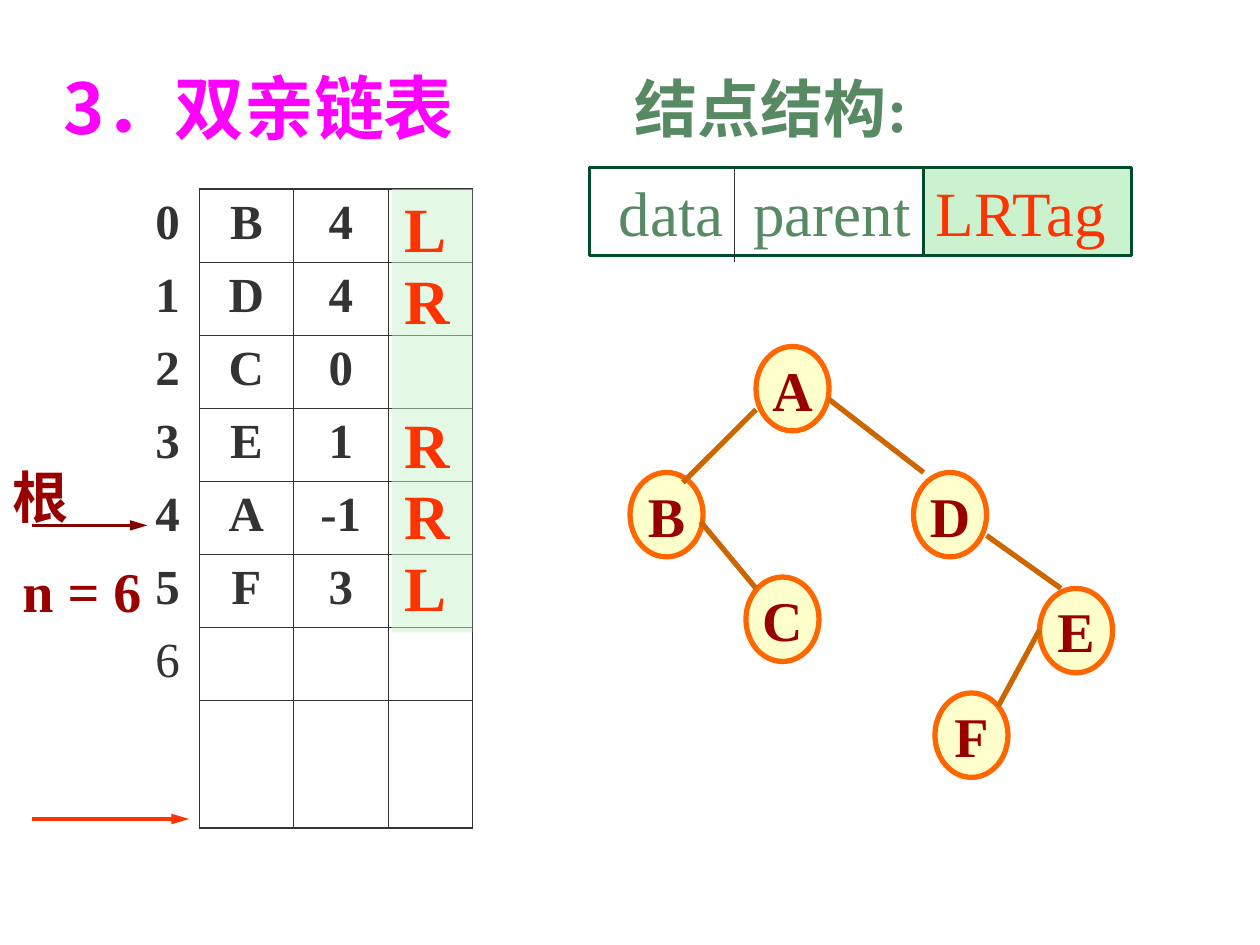
from lxml import etree
from pptx import Presentation
from pptx.dml.color import RGBColor
from pptx.enum import shapes, text
from pptx.oxml import ns
from pptx.util import Inches, Pt

SERIF, CJK = "Times New Roman", "Noto Sans CJK SC"
COLORS = {
    "title": "FF00FF", "green": "578963", "frame": "004C2B", "mint": "CAF2CE",
    "red": "FF3300", "maroon": "990000", "arrow": "800000", "ink": "333333",
    "node": "FFFFCC", "ring": "FF6600", "edge": "CC6600",
}
ROWS = [("0", "B", "4"), ("1", "D", "4"), ("2", "C", "0"), ("3", "E", "1"),
        ("4", "A", "-1"), ("5", "F", "3"), ("6", "", ""), ("", "", "")]
NODES = {"A": (6, 2.75), "B": (5, 3.75), "D": (7.25, 3.75),
         "C": (5.92, 4.58), "E": (8.25, 4.67), "F": (7.42, 5.5)}
EDGES = [(6, 3.25, 5.42, 3.83), (6.58, 3.17, 7.33, 3.75), (5.56, 4.14, 6, 4.67),
         (7.83, 4.25, 8.42, 4.67), (8.25, 5, 7.92, 5.61)]


def rgb(name):
    """Look up a palette colour."""
    return RGBColor.from_string(COLORS[name])


def add_run(p, content, size, color, bold=True, font=SERIF):
    """Append a formatted run with an East Asian font."""
    r = p.add_run()
    r.text = content
    r.font.size, r.font.bold, r.font.name = Pt(size), bold, font
    r.font.color.rgb = rgb(color)
    ea = etree.SubElement(r.font._element, ns.qn("a:ea"))
    ea.set("typeface", CJK)


def add_label(s, box, content, size, color, wrap=True):
    """Add a one-line text box."""
    tf = s.shapes.add_textbox(*map(Inches, box)).text_frame
    tf.word_wrap = wrap
    add_run(tf.paragraphs[0], content, size, color)


def add_box(s, kind, box, fill=None, line=None, weight=2):
    """Add a flat shape with top-left text and return it."""
    sp = s.shapes.add_shape(kind, *map(Inches, box))
    sp.shadow.inherit = False
    if fill:
        sp.fill.solid()
        sp.fill.fore_color.rgb = rgb(fill)
    else:
        sp.fill.background()
    if line:
        sp.line.color.rgb = rgb(line)
        sp.line.width = Pt(weight)
    else:
        sp.line.fill.background()
    tf = sp.text_frame
    tf.word_wrap = True
    tf.vertical_anchor = text.MSO_ANCHOR.TOP
    tf.paragraphs[0].alignment = text.PP_ALIGN.LEFT
    return sp


def add_line(s, ends, color, weight, arrow=False):
    """Add a straight line, optionally with an arrowhead at its end."""
    c = s.shapes.add_connector(shapes.MSO_CONNECTOR.STRAIGHT, *map(Inches, ends))
    c.line.color.rgb = rgb(color)
    c.line.width = Pt(weight)
    if arrow:
        etree.SubElement(c.line._get_or_add_ln(), ns.qn("a:tailEnd"),
                         type="triangle", len="lg")
    etree.SubElement(c._element.spPr, ns.qn("a:effectLst"))


def add_node(s, name, left, top):
    """Add a tree node."""
    sp = add_box(s, shapes.MSO_SHAPE.OVAL, (left, top, 0.58, 0.67), "node", "ring", 3)
    tf = sp.text_frame
    tf.word_wrap = False
    tf.vertical_anchor = text.MSO_ANCHOR.MIDDLE
    tf.paragraphs[0].alignment = text.PP_ALIGN.CENTER
    add_run(tf.paragraphs[0], name, 32, "maroon")


def set_borders(cell, widths):
    """Draw the cell sides given as a dict of side letter to points."""
    tc_pr = cell._tc.get_or_add_tcPr()
    for side, width in widths.items():
        ln = etree.SubElement(tc_pr, ns.qn(f"a:ln{side}"), w=str(Pt(width)))
        fill = etree.SubElement(ln, ns.qn("a:solidFill"))
        etree.SubElement(fill, ns.qn("a:srgbClr"), val=COLORS["ink"])


def add_parent_table(s):
    """Add the indexed table of data and parent values."""
    thin, thick = 0.45, 1.08
    widths, last = (0.5, 0.75, 0.75, 0.67), len(ROWS) - 1
    frame = s.shapes.add_table(len(ROWS), len(widths), Inches(1.08), Inches(1.5),
                               Inches(sum(widths)), Inches(5.08))
    table = frame.table
    table.first_row = table.horz_banding = False
    for col, width in zip(table.columns, widths):
        col.width = Inches(width)
    for i, values in enumerate(ROWS):
        table.rows[i].height = Inches(1.01 if i == last else 0.58)
        for j, value in enumerate(values + ("",)):
            cell = table.cell(i, j)
            if j == 0:
                set_borders(cell, {"R": thin})
            else:
                set_borders(cell, {"L": thin, "R": thick if j == 3 else thin,
                                   "T": thick if i == 0 else thin,
                                   "B": thick if i == last else thin})
            cell.fill.background()
            if value:
                p = cell.text_frame.paragraphs[0]
                p.alignment = text.PP_ALIGN.CENTER
                add_run(p, value, 28, "ink", bold=value != "6")


def add_record(s):
    """Add the node record with its three fields."""
    rect = shapes.MSO_SHAPE.RECTANGLE
    tf = add_box(s, rect, (4.68, 1.33, 2.65, 0.7), line="frame").text_frame
    tf.margin_left, tf.margin_right = Inches(0.23), Inches(0.05)
    p = tf.paragraphs[0]
    tabs = etree.SubElement(p._p.get_or_add_pPr(), ns.qn("a:tabLst"))
    etree.SubElement(tabs, ns.qn("a:tab"), pos=str(Inches(1.07)), algn="l")
    add_run(p, "data\tparent", 36, "green", bold=False)
    add_line(s, (5.83, 1.33, 5.83, 2.08), "ink", 1)
    tag = add_box(s, rect, (7.33, 1.33, 1.65, 0.7), "mint", "frame")
    add_run(tag.text_frame.paragraphs[0], "LRTag", 36, "red", bold=False)


def add_tag_column(s):
    """Add the translucent column of child tags, leaving row 2 open."""
    sp = add_box(s, shapes.MSO_SHAPE.RECTANGLE, (3.11, 1.5, 0.64, 3.52), "mint")
    color = sp.fill._xPr.find(f".//{ns.qn('a:srgbClr')}")
    etree.SubElement(color, ns.qn("a:alpha"), val="50000")
    tf = sp.text_frame
    for i, tag in enumerate("LRRRL"):
        p = tf.add_paragraph() if i else tf.paragraphs[0]
        p.alignment = text.PP_ALIGN.LEFT
        p.line_spacing = 0.95
        if i == 2:
            p.space_before = Pt(41)
        add_run(p, tag, 36, "red")


def add_title(s):
    """Place and format the title on one line."""
    sp = s.shapes.title
    sp.left, sp.top, sp.width, sp.height = map(Inches, (0.4, 0.46, 3.6, 0.77))
    tf = sp.text_frame
    tf.vertical_anchor = text.MSO_ANCHOR.TOP
    tf.auto_size = text.MSO_AUTO_SIZE.NONE
    tf.paragraphs[0].alignment = text.PP_ALIGN.LEFT
    add_run(tf.paragraphs[0], "3．双亲链表", 40, "title", font=CJK)


def main():
    """Build the slide and save it."""
    prs = Presentation()
    prs.slide_width, prs.slide_height = Inches(10), Inches(7.5)
    s = prs.slides.add_slide(prs.slide_layouts[5])
    add_title(s)
    add_label(s, (4.94, 0.5, 2.48, 0.7), "结点结构:", 36, "green", wrap=False)
    for name, at in NODES.items():
        add_node(s, name, *at)
    for ends in EDGES:
        add_line(s, ends, "edge", 3)
    add_parent_table(s)
    add_record(s)
    add_tag_column(s)
    add_line(s, (0.25, 4.17, 1.17, 4.17), "arrow", 2, arrow=True)
    add_label(s, (0, 3.62, 0.75, 0.64), "根", 32, "maroon")
    add_line(s, (0.25, 6.5, 1.5, 6.5), "red", 2, arrow=True)
    add_label(s, (0.08, 4.37, 1.25, 0.64), "n = 6", 32, "maroon")
    prs.save("out.pptx")


if __name__ == "__main__":
    main()
